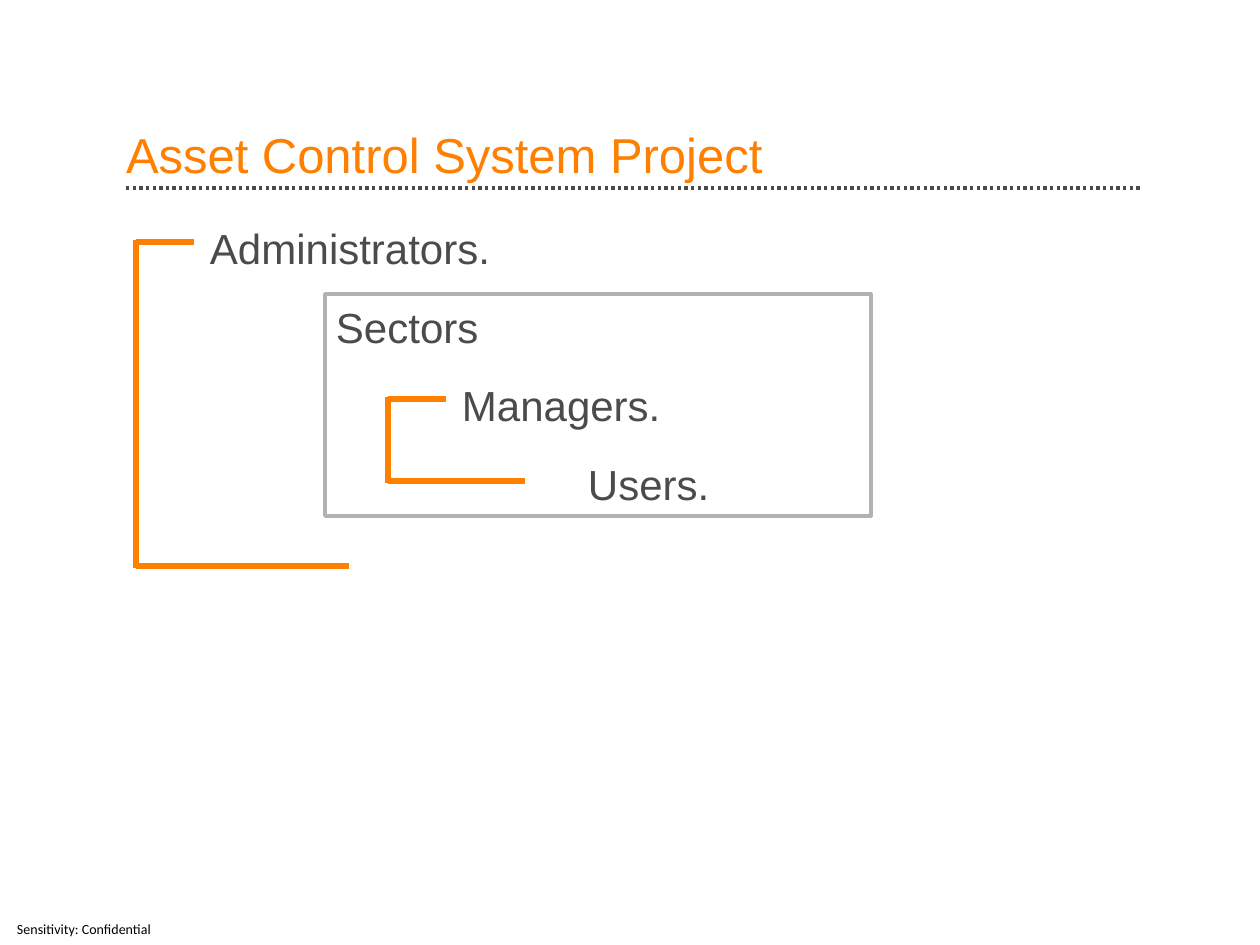
from lxml import etree
from pptx import Presentation
from pptx import util as u
from pptx.dml.color import RGBColor
from pptx.enum import dml, shapes, text
from pptx.oxml.ns import qn

PX = u.Inches(1) // 126
ORANGE = RGBColor(0xFF, 0x80, 0x00)
GREY = RGBColor(0x4B, 0x4B, 0x4B)
FRAME = RGBColor(0xB2, 0xB2, 0xB2)
BLACK = RGBColor(0, 0, 0)

ROLES = ["Administrators.", "Sectors", "Managers.", "Users."]


def px(*lengths):
    return [u.Emu(length * PX) for length in lengths]


class Board:
    """Holds the style and the current slide."""

    def __init__(self, slide, font="Arial"):
        self.slide = slide
        self.font = font

    def add_lines(self, lines, box, size, color, font=None, anchor="TOP",
                  top=0, right=0, gap=0, step=0, spacing=None):
        """Each line of text is indented one step more than the line before."""
        frame = self.slide.shapes.add_textbox(*px(*box)).text_frame
        frame.word_wrap = True
        frame.vertical_anchor = text.MSO_ANCHOR[anchor]
        (frame.margin_left, frame.margin_top,
         frame.margin_right, frame.margin_bottom) = px(0, top, right, 0)
        for level, line in enumerate(lines):
            paragraph = frame.add_paragraph() if level else frame.paragraphs[0]
            if level:
                paragraph.space_before = u.Pt(gap)
                paragraph._p.get_or_add_pPr().set("marL", str(level * step * PX))
            if spacing:
                paragraph.line_spacing = spacing
            run = paragraph.add_run()
            run.text = line
            run.font.name = font or self.font
            run.font.size = u.Pt(size)
            run.font.color.rgb = color

    def line(self, start, end, color=ORANGE, width=3, dash=None):
        line = self.slide.shapes.add_connector(
            shapes.MSO_CONNECTOR.STRAIGHT, *px(*start, *end))
        line.line.color.rgb = color
        line.line.width = u.Pt(width)
        if dash:
            line.line.dash_style = dash
        etree.SubElement(line._element.spPr, qn("a:effectLst"))

    def bracket(self, left, top, bottom, upper_end, lower_end):
        """A spine with two arms; the spine overshoots them to fill the corners."""
        self.line((left, top - 2), (left, bottom + 2))
        self.line((left, top), (upper_end, top))
        self.line((left, bottom), (lower_end, bottom))

    def frame(self, box, color, width):
        frame = self.slide.shapes.add_shape(
            shapes.MSO_SHAPE.RECTANGLE, *px(*box))
        frame.shadow.inherit = False
        frame.fill.background()
        frame.line.color.rgb = color
        frame.line.width = u.Pt(width)


def main():
    deck = Presentation()
    deck.slide_width, deck.slide_height = px(1260, 945)
    board = Board(deck.slides.add_slide(deck.slide_layouts[6]))

    board.line((126, 188), (1142, 188), GREY, 1.9, dml.MSO_LINE.ROUND_DOT)
    board.add_lines(["Sensitivity: Confidential"], (17, 921, 152, 16), 8, BLACK,
                    font="Calibri", anchor="MIDDLE")
    board.add_lines(["Asset Control System Project"], (126, 69, 1016, 115), 28,
                    ORANGE, anchor="BOTTOM", spacing=0.9)
    board.add_lines(ROLES, (210, 218, 1016, 630), 24, GREY,
                    top=5, right=25, gap=16, step=126)
    board.bracket(388, 399, 481, 446, 525)
    board.bracket(136, 242, 566, 194, 349)
    board.frame((325, 294, 546, 222), FRAME, 2)

    deck.save("out.pptx")


if __name__ == "__main__":
    main()
